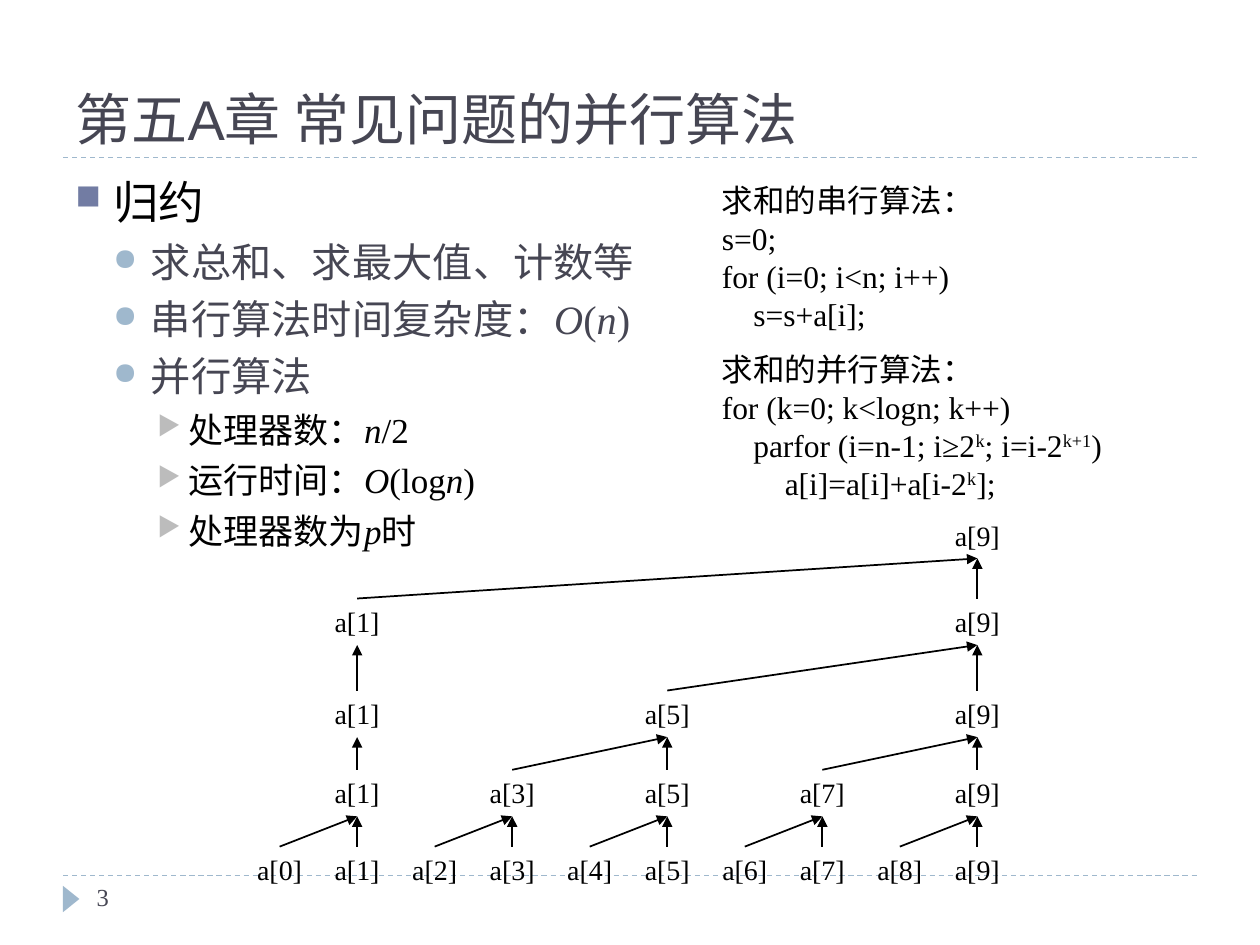
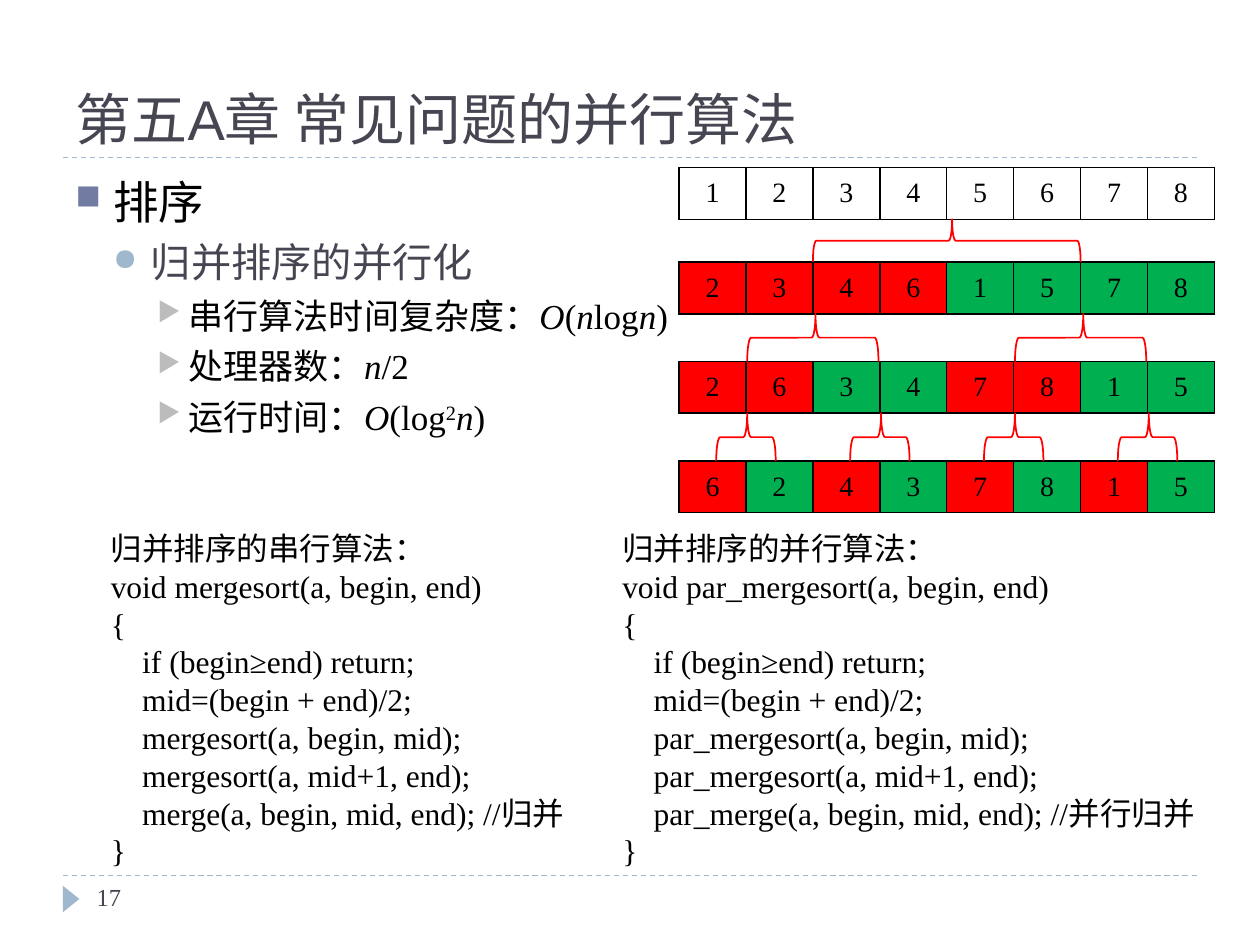
from dataclasses import dataclass
from typing import Iterator, Optional

from lxml import etree
from pptx import Presentation
from pptx.dml.color import RGBColor
from pptx.enum.dml import MSO_LINE
from pptx.enum.shapes import MSO_CONNECTOR, MSO_SHAPE
from pptx.enum.text import MSO_ANCHOR, PP_ALIGN
from pptx.oxml.ns import qn
from pptx.shapes.autoshape import Shape
from pptx.shapes.connector import Connector
from pptx.slide import Slide
from pptx.util import Pt

STRAIGHT = MSO_CONNECTOR.STRAIGHT
DASH = MSO_LINE.DASH
TRIANGLE, LEFT_BRACE = MSO_SHAPE.ISOSCELES_TRIANGLE, MSO_SHAPE.LEFT_BRACE
TOP, MIDDLE, BOTTOM = MSO_ANCHOR.TOP, MSO_ANCHOR.MIDDLE, MSO_ANCHOR.BOTTOM
LEFT, CENTER = PP_ALIGN.LEFT, PP_ALIGN.CENTER
TOP_SIDE, BOTTOM_SIDE = 0, 2

SERIF, SANS = "Times New Roman", "Arial"
COLORS = {
    "ink": "000000",
    "slate": "464653",
    "indigo": "727CA3",
    "sky": "9FB8CD",
    "grey": "BCBCBC",
    "red": "FF0000",
    "green": "00B050",
}
TITLE = "第五A章 常见问题的并行算法"


@dataclass(frozen=True)
class Box:
    left: float
    top: float
    width: float
    height: float

    def lengths(self) -> list[Pt]:
        return [Pt(value) for value in (self.left, self.top, self.width, self.height)]


@dataclass(frozen=True)
class Outline:
    """Look of one outline level."""
    margin: float
    hanging: float
    space_before: float
    bullet: str
    bullet_color: str
    size: float
    color: str


@dataclass(frozen=True)
class SortStage:
    """One row of the merge sort; merged_size is the block its cells merge into."""
    top: float
    values: str
    merged_size: int = 0
    brace_width: float = 0


OUTLINES = (
    Outline(21.6, 21.6, 6, "■", "indigo", 26, "ink"),
    Outline(43.2, 21.6, 5, "●", "sky", 23, "slate"),
    Outline(64.8, 18, 5, "▶", "grey", 20, "ink"),
)

REDUCTION_OUTLINE = (
    (0, "归约"),
    (1, "求总和、求最大值、计数等"),
    (1, "串行算法时间复杂度：*O*(*n*)"),
    (1, "并行算法"),
    (2, "处理器数：*n*/2"),
    (2, "运行时间：*O*(log*n*)"),
    (2, "处理器数为*p*时"),
)
SERIAL_SUM = """求和的串行算法：
s=0;
for (i=0; i<n; i++)
    s=s+a[i];"""
PARALLEL_SUM = """求和的并行算法：
for (k=0; k<logn; k++)
    parfor (i=n-1; i≥2^k^; i=i-2^k+1^)
        a[i]=a[i]+a[i-2^k^];"""

TREE_LEFT, TREE_STEP = 159.8, 44.3
NODE_WIDTH, NODE_HEIGHT = 40.3, 26.6
TREE_LEVELS = (
    (483.8, range(10)),
    (439.9, range(1, 10, 2)),
    (394.6, range(1, 10, 4)),
    (342, (1, 9)),
    (292.5, (9,)),
)

SORTING_OUTLINE = (
    (0, "排序"),
    (1, "归并排序的并行化"),
    (2, "串行算法时间复杂度：*O*(*n*log*n*)"),
    (2, "处理器数：*n*/2"),
    (2, "运行时间：*O*(log^2^*n*)"),
)
SORT_CODE = """归并排序的{kind}算法：
void {prefix}mergesort(a, begin, end)
{{
    if (begin≥end) return;
    mid=(begin + end)/2;
    {prefix}mergesort(a, begin, mid);
    {prefix}mergesort(a, mid+1, end);
    {prefix}merge(a, begin, mid, end); //{note}
}}"""

TABLE_LEFT, CELL_WIDTH, CELL_HEIGHT = 388, 38.25, 29.5
SORT_STAGES = (
    SortStage(95.8, "12345678"),
    SortStage(149.8, "23461578", 8, 153),
    SortStage(206.6, "26347815", 4, 75),
    SortStage(263.5, "62437815", 2, 34),
)


def rgb(name: str) -> RGBColor:
    return RGBColor.from_string(COLORS[name])


def split_markup(markup: str) -> Iterator[tuple[str, bool, bool]]:
    """Yield text, italic, superscript for *italic* and ^superscript^ marks."""
    for italic, part in enumerate(markup.split("*")):
        for raised, text in enumerate(part.split("^")):
            if text:
                yield text, italic % 2 == 1, raised % 2 == 1


def write_text(paragraph, markup: str, *, size: float = 18, color: str = "ink",
               font: str = SERIF, align: PP_ALIGN = LEFT) -> None:
    paragraph.alignment = align
    for text, italic, raised in split_markup(markup):
        run = paragraph.add_run()
        run.text = text
        run.font.size = Pt(size)
        run.font.name = font
        run.font.italic = italic
        run.font.color.rgb = rgb(color)
        if raised:
            run._r.get_or_add_rPr().set("baseline", "30000")


def add_text(slide: Slide, box: Box, text: str, *, anchor: MSO_ANCHOR = TOP,
             wrap: bool = True, **text_format) -> Shape:
    shape = slide.shapes.add_textbox(*box.lengths())
    frame = shape.text_frame
    frame.word_wrap = wrap
    frame.vertical_anchor = anchor
    for index, line in enumerate(text.split("\n")):
        paragraph = frame.add_paragraph() if index else frame.paragraphs[0]
        write_text(paragraph, line, **text_format)
    return shape


def set_bullet(paragraph, outline: Outline) -> None:
    properties = paragraph._p.get_or_add_pPr()
    properties.set("marL", str(Pt(outline.margin)))
    properties.set("indent", str(-Pt(outline.hanging)))
    color = etree.SubElement(properties, qn("a:buClr"))
    etree.SubElement(color, qn("a:srgbClr"), val=COLORS[outline.bullet_color])
    etree.SubElement(properties, qn("a:buSzPct"), val="76000")
    etree.SubElement(properties, qn("a:buChar"), char=outline.bullet)


def add_outline(slide: Slide, box: Box, items: tuple[tuple[int, str], ...]) -> None:
    frame = slide.shapes.add_textbox(*box.lengths()).text_frame
    frame.word_wrap = True
    for index, (level, markup) in enumerate(items):
        outline = OUTLINES[level]
        paragraph = frame.add_paragraph() if index else frame.paragraphs[0]
        paragraph.level = level
        set_bullet(paragraph, outline)
        if index:
            paragraph.space_before = Pt(outline.space_before)
        write_text(paragraph, markup, size=outline.size, color=outline.color)


def add_line(slide: Slide, start: tuple[float, float], end: tuple[float, float], *,
             color: str = "ink", width: float = 1, dash: Optional[MSO_LINE] = None,
             arrow: bool = False) -> Connector:
    line = slide.shapes.add_connector(STRAIGHT, *(Pt(value) for value in start + end))
    line.line.color.rgb = rgb(color)
    line.line.width = Pt(width)
    if dash is not None:
        line.line.dash_style = dash
    if arrow:
        etree.SubElement(line.line._get_or_add_ln(), qn("a:tailEnd"), type="triangle")
    etree.SubElement(line._element.spPr, qn("a:effectLst"))
    return line


def add_base_slide(presentation, number: str) -> Slide:
    """Add a slide with the shared rules, page marker and title."""
    slide = presentation.slides.add_slide(presentation.slide_layouts[6])
    for top in (500.4, 90):
        add_line(slide, (36, top), (684, top), color="sky", width=0.75, dash=DASH)
    marker = slide.shapes.add_shape(TRIANGLE, *Box(33.1, 509, 15.1, 9.4).lengths())
    marker.rotation = 90
    marker.shadow.inherit = False
    marker.fill.solid()
    marker.fill.fore_color.rgb = rgb("sky")
    marker.line.fill.background()
    add_text(slide, Box(36, 12.2, 648, 77.8), TITLE, anchor=BOTTOM,
             size=32, color="slate", font=SANS)
    add_text(slide, Box(48.2, 500.4, 156, 28.8), number, size=14, color="slate")
    return slide


def add_reduction_tree(slide: Slide) -> None:
    lower_nodes: dict[int, Shape] = {}
    for top, indices in TREE_LEVELS:
        nodes = {}
        for index in indices:
            left = TREE_LEFT + index * TREE_STEP - NODE_WIDTH / 2
            nodes[index] = add_text(slide, Box(left, top, NODE_WIDTH, NODE_HEIGHT),
                                    f"a[{index}]", wrap=False, size=16, align=CENTER)
        for index, node in lower_nodes.items():
            target = min(upper for upper in nodes if upper >= index)
            arrow = add_line(slide, (0, 0), (0, 0), arrow=True)
            arrow.begin_connect(node, TOP_SIDE)
            arrow.end_connect(nodes[target], BOTTOM_SIDE)
        lower_nodes = nodes


def set_borders(cell) -> None:
    properties = cell._tc.get_or_add_tcPr()
    for side in ("lnL", "lnR", "lnT", "lnB"):
        border = etree.SubElement(properties, qn(f"a:{side}"), w=str(Pt(1)))
        fill = etree.SubElement(border, qn("a:solidFill"))
        etree.SubElement(fill, qn("a:srgbClr"), val=COLORS["ink"])


def add_stage_table(slide: Slide, stage: SortStage) -> None:
    count = len(stage.values)
    box = Box(TABLE_LEFT, stage.top, CELL_WIDTH * count, CELL_HEIGHT)
    table = slide.shapes.add_table(1, count, *box.lengths()).table
    table.first_row = table.horz_banding = False
    for column, value in enumerate(stage.values):
        cell = table.cell(0, column)
        cell.vertical_anchor = MIDDLE
        set_borders(cell)
        if stage.merged_size:
            in_left_half = column % stage.merged_size < stage.merged_size // 2
            cell.fill.solid()
            cell.fill.fore_color.rgb = rgb("red" if in_left_half else "green")
        else:
            cell.fill.background()
        write_text(cell.text_frame.paragraphs[0], value, size=16, align=CENTER)


def add_braces(slide: Slide, merged: SortStage, stage: SortStage) -> None:
    """Fill the gap between two stages with one brace per merged block."""
    gap_top = merged.top + CELL_HEIGHT
    gap = stage.top - gap_top
    for first in range(0, len(stage.values), stage.merged_size):
        center = TABLE_LEFT + (first + stage.merged_size / 2) * CELL_WIDTH
        box = Box(center - gap / 2, gap_top + gap / 2 - stage.brace_width / 2,
                  gap, stage.brace_width)
        brace = slide.shapes.add_shape(LEFT_BRACE, *box.lengths())
        brace.rotation = 90
        brace.adjustments[0], brace.adjustments[1] = 0.08, 0.48
        brace.shadow.inherit = False
        brace.fill.background()
        brace.line.color.rgb = rgb("red")
        brace.line.width = Pt(1)


def build_reduction_slide(presentation) -> None:
    slide = add_base_slide(presentation, "3")
    add_outline(slide, Box(36, 95.8, 648, 202.3), REDUCTION_OUTLINE)
    add_text(slide, Box(405.4, 100, 187.2, 94.3), SERIAL_SUM)
    add_text(slide, Box(405.4, 196.6, 283.7, 94.3), PARALLEL_SUM)
    add_reduction_tree(slide)


def build_sorting_slide(presentation) -> None:
    slide = add_base_slide(presentation, "17")
    add_outline(slide, Box(36, 95.8, 648, 388.8), SORTING_OUTLINE)
    add_text(slide, Box(56.2, 298.8, 303.8, 203.8),
             SORT_CODE.format(kind="串行", prefix="", note="归并"))
    add_text(slide, Box(348.5, 298.8, 351.4, 203.8),
             SORT_CODE.format(kind="并行", prefix="par_", note="并行归并"))
    for stage in SORT_STAGES:
        add_stage_table(slide, stage)
    for merged, stage in zip(SORT_STAGES, SORT_STAGES[1:]):
        add_braces(slide, merged, stage)


def main() -> None:
    presentation = Presentation()
    presentation.slide_width, presentation.slide_height = Pt(720), Pt(540)
    build_reduction_slide(presentation)
    build_sorting_slide(presentation)
    presentation.save("out.pptx")


if __name__ == "__main__":
    main()
